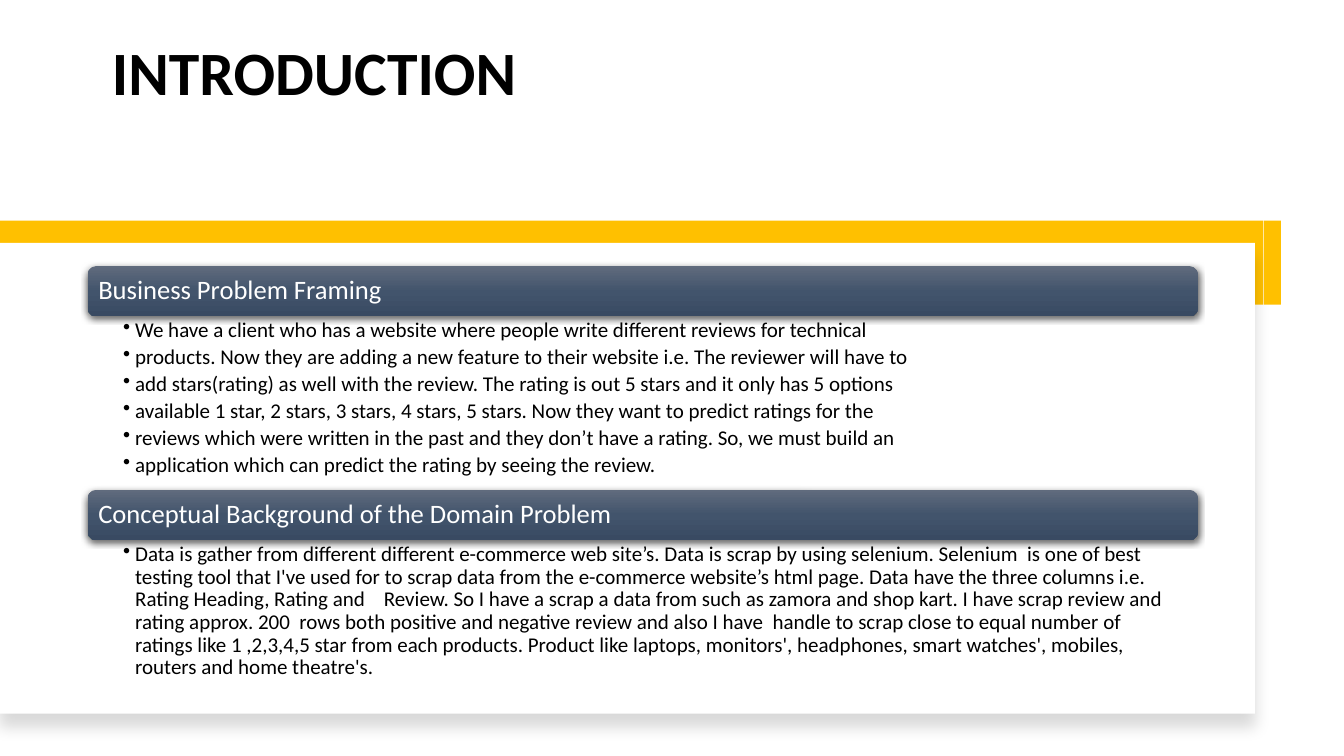
import copy

import lxml.etree
import pptx
import pptx.dml.color
import pptx.enum.shapes
import pptx.enum.text
import pptx.oxml.ns
import pptx.util

RGBColor = pptx.dml.color.RGBColor
Inches = pptx.util.Inches
Pt = pptx.util.Pt
qn = pptx.oxml.ns.qn
Shape = pptx.enum.shapes.MSO_SHAPE
Anchor = pptx.enum.text.MSO_ANCHOR

BLACK = RGBColor(0x00, 0x00, 0x00)
WHITE = RGBColor(0xFF, 0xFF, 0xFF)
GOLD = RGBColor(0xFF, 0xC0, 0x00)
HEADING_COLORS = (
    RGBColor(0x60, 0x6B, 0x7D),
    RGBColor(0x42, 0x54, 0x6C),
    RGBColor(0x39, 0x4A, 0x62),
)
FONT = "Calibri"
SLIDE_WIDTH = Inches(13.33)
SLIDE_HEIGHT = Inches(7.5)

SECTIONS = (
    (35.2, 22.93, "Business Problem Framing", (
        "We have a client who has a website where people write different reviews for technical",
        "products. Now they are adding a new feature to their website i.e. The reviewer will have to",
        "add stars(rating) as well with the review. The rating is out 5 stars and it only has 5 options",
        "available 1 star, 2 stars, 3 stars, 4 stars, 5 stars. Now they want to predict ratings for the",
        "reviews which were written in the past and they don’t have a rating. So, we must build an",
        "application which can predict the rating by seeing the review.",
    )),
    (64.8, 19.47, "Conceptual Background of the Domain Problem", (
        "Data is gather from different different e-commerce web site’s. Data is scrap by using selenium. "
        "Selenium  is one of best testing tool that I've used for to scrap data from the e-commerce "
        "website’s html page. Data have the three columns i.e. Rating Heading, Rating and    Review. "
        "So I have a scrap a data from such as zamora and shop kart. I have scrap review and rating "
        "approx. 200  rows both positive and negative review and also I have  handle to scrap close to "
        "equal number of ratings like 1 ,2,3,4,5 star from each products. Product like laptops, "
        "monitors', headphones, smart watches', mobiles, routers and home theatre's.",
    )),
)


def percent_box(left, top, width, height):
    return (
        round(SLIDE_WIDTH * left / 100),
        round(SLIDE_HEIGHT * top / 100),
        round(SLIDE_WIDTH * width / 100),
        round(SLIDE_HEIGHT * height / 100),
    )


def add_plain_shape(shapes, kind, box, color):
    shape = shapes.add_shape(kind, *box)
    shape.shadow.inherit = False
    shape.fill.solid()
    shape.fill.fore_color.rgb = color
    shape.line.fill.background()
    return shape


def add_shadow(shape, opacity, blur, distance):
    effects = shape._element.spPr.find(qn("a:effectLst"))
    shadow = lxml.etree.SubElement(
        effects, qn("a:outerShdw"), blurRad=str(Pt(blur)), dist=str(Pt(distance)),
        dir="5400000", algn="t", rotWithShape="0",
    )
    color = lxml.etree.SubElement(shadow, qn("a:srgbClr"), val=str(BLACK))
    lxml.etree.SubElement(color, qn("a:alpha"), val=str(opacity * 1000))


def fill_gradient(shape, colors):
    shape.fill.gradient()
    shape.fill.gradient_angle = 270
    stop_list = shape._element.spPr.find(qn("a:gradFill")).find(qn("a:gsLst"))
    stop_list.append(copy.deepcopy(stop_list[0]))
    for index, stop in enumerate(shape.fill.gradient_stops):
        stop.position = index / (len(colors) - 1)
        stop.color.rgb = colors[index]


def set_font(paragraph, size, color, bold=False):
    paragraph.line_spacing = 0.9
    paragraph.font.name = FONT
    paragraph.font.size = Pt(size)
    paragraph.font.color.rgb = color
    paragraph.font.bold = bold


def add_text_frame(shapes, box, margins, anchor):
    frame = shapes.add_textbox(*box).text_frame
    frame.word_wrap = True
    frame.vertical_anchor = anchor
    frame.margin_left, frame.margin_top, frame.margin_right, frame.margin_bottom = map(Inches, margins)
    return frame


def add_title(slide, box):
    title = slide.shapes.title
    title.left, title.top, title.width, title.height = box
    frame = title.text_frame
    frame.text = "INTRODUCTION"
    frame.word_wrap = True
    frame.auto_size = pptx.enum.text.MSO_AUTO_SIZE.NONE
    frame.vertical_anchor = Anchor.TOP
    frame.margin_left = Inches(0.24)
    frame.margin_top = 0
    paragraph = frame.paragraphs[0]
    paragraph.alignment = pptx.enum.text.PP_ALIGN.LEFT
    set_font(paragraph, 44, BLACK, bold=True)


def add_backdrop(slide, box):
    left, top, width, height = box
    band_height = round(height * 0.17)
    panel_top = top + round(height * 0.045)
    add_plain_shape(slide.shapes, Shape.RECTANGLE, (left, top, round(width * 0.98), band_height), GOLD)
    panel = add_plain_shape(
        slide.shapes, Shape.RECTANGLE,
        (left, panel_top, round(width * 0.9735), top + height - panel_top), WHITE,
    )
    add_shadow(panel, 15, 11, 10)
    thickness = round(band_height * 0.2)
    tab_left = left + round(width * 0.9935) - (band_height + thickness) // 2
    tab_top = top + (band_height - thickness) // 2
    tab = add_plain_shape(slide.shapes, Shape.RECTANGLE, (tab_left, tab_top, band_height, thickness), GOLD)
    tab.rotation = 90


def add_heading(shapes, box, text):
    left, top, width, height = box
    bar = add_plain_shape(shapes, Shape.ROUNDED_RECTANGLE, box, WHITE)
    fill_gradient(bar, HEADING_COLORS)
    add_shadow(bar, 63, 4.5, 1.5)
    inset = round(height * 0.05)
    label_box = (left + inset, top + inset, width - 2 * inset, height - 2 * inset)
    frame = add_text_frame(shapes, label_box, (0.08, 0.08, 0.08, 0.08), Anchor.MIDDLE)
    frame.text = text
    set_font(frame.paragraphs[0], 19, WHITE)


def add_bullets(shapes, box, texts):
    frame = add_text_frame(shapes, box, (0.35, 0.03, 0.15, 0.03), Anchor.TOP)
    frame.text = "\n".join(texts)
    for paragraph in frame.paragraphs:
        paragraph.level = 1
        paragraph.space_after = Pt(3)
        paragraph.line_spacing = 0.9
        properties = paragraph._p.get_or_add_pPr()
        properties.set("marL", str(Inches(0.12)))
        properties.set("indent", str(Inches(-0.12)))
        lxml.etree.SubElement(properties, qn("a:buChar"), char="•")
        set_font(paragraph, 15, BLACK)


def add_section(shapes, box, heading, texts):
    left, top, width, height = box
    heading_height = round(SLIDE_HEIGHT / 15)
    add_heading(shapes, (left, top, width, heading_height), heading)
    add_bullets(shapes, (left, top + heading_height, width, height - heading_height), texts)


def add_introduction_slide(presentation):
    slide = presentation.slides.add_slide(presentation.slide_layouts[5])
    add_title(slide, percent_box(6.53, 5.6, 82.6, 18.93))
    add_backdrop(slide, percent_box(0, 29.2, 95.92, 65.2))
    group = slide.shapes.add_group_shape()
    for top, body_height, heading, texts in SECTIONS:
        box = percent_box(6.53, top, 82.6, body_height + 6.67)
        add_section(group.shapes, box, heading, texts)


def main():
    presentation = pptx.Presentation()
    presentation.slide_width = SLIDE_WIDTH
    presentation.slide_height = SLIDE_HEIGHT
    add_introduction_slide(presentation)
    presentation.save("out.pptx")


if __name__ == "__main__":
    main()
